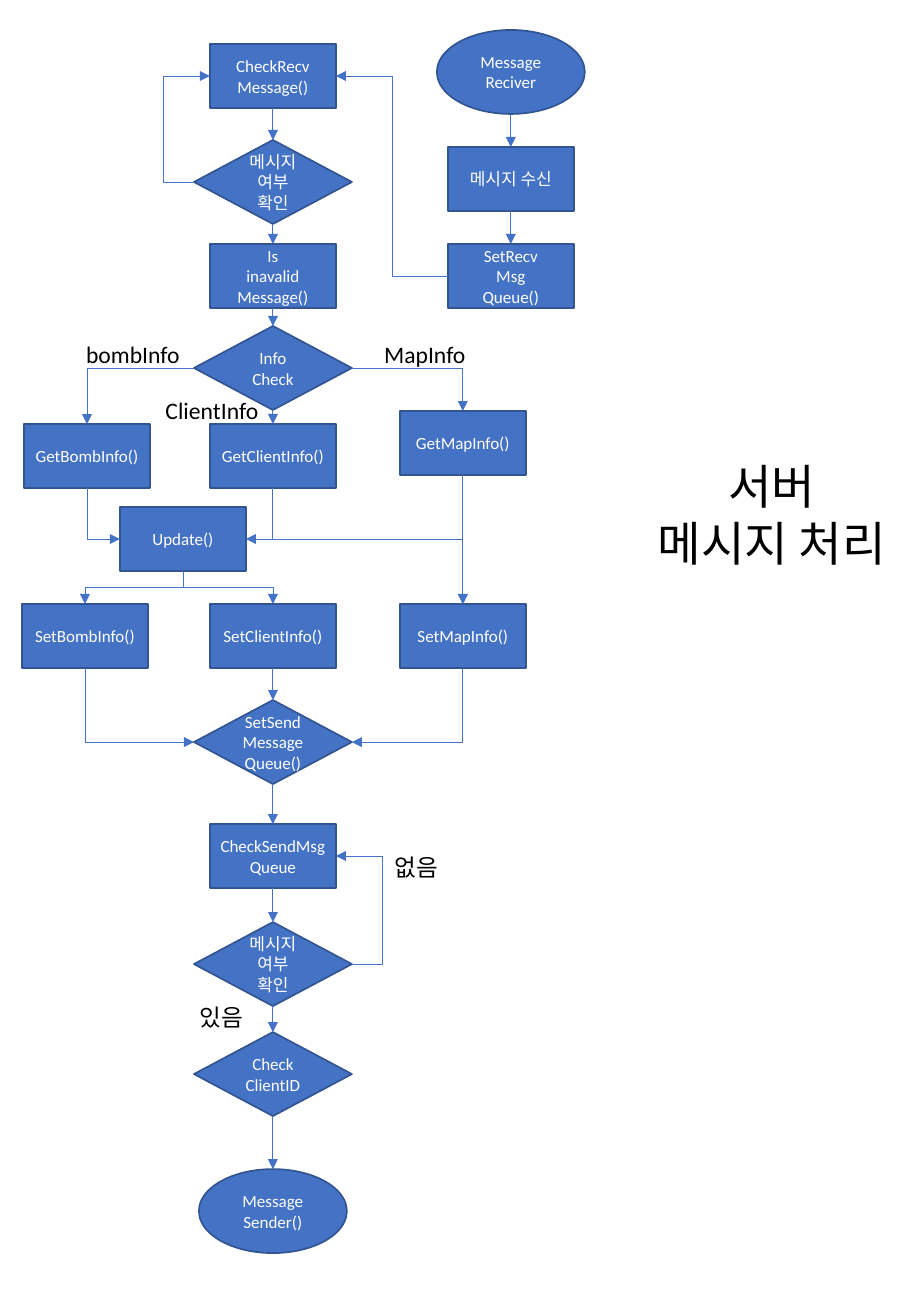
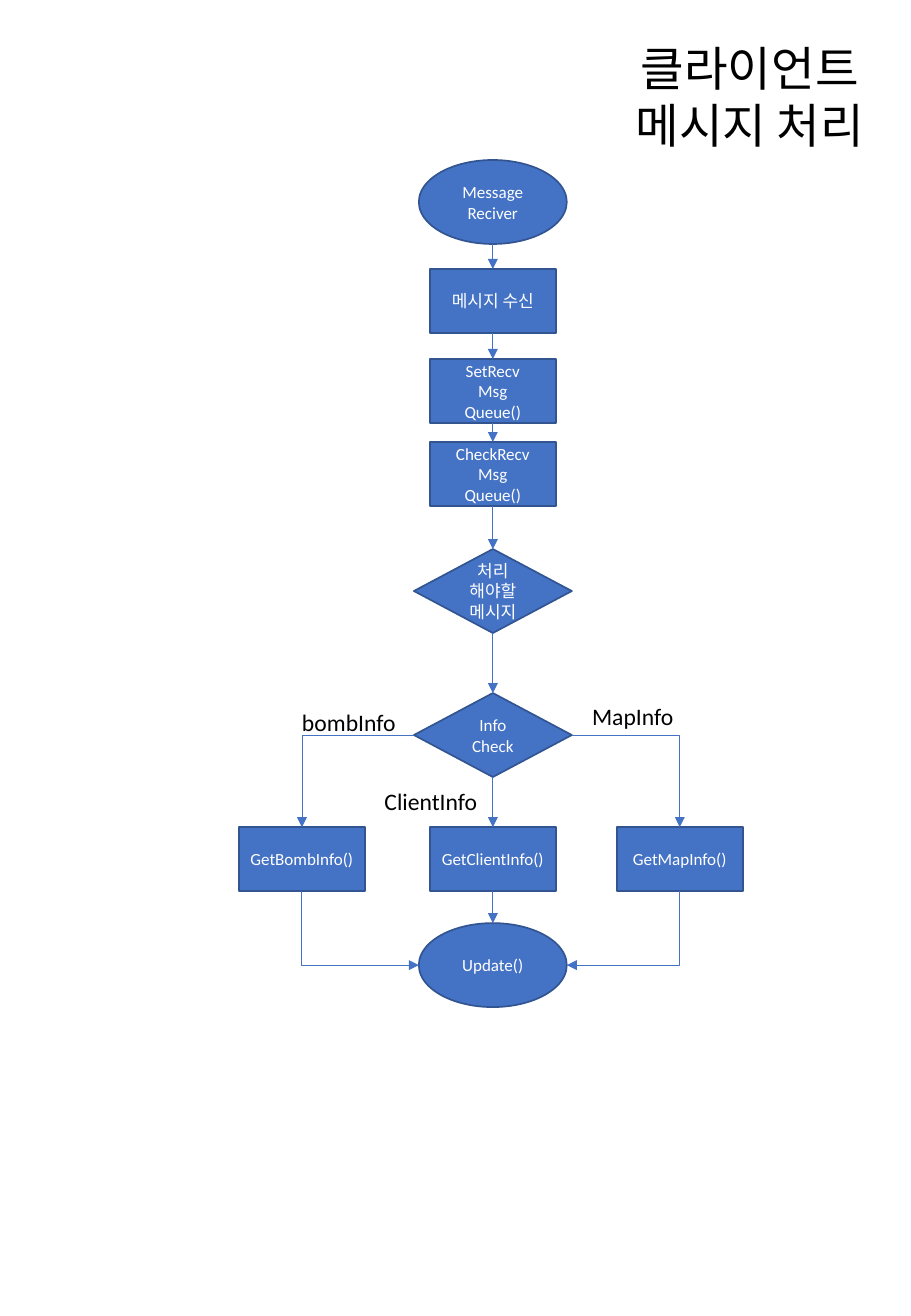
from collections import namedtuple
from dataclasses import dataclass

from lxml.etree import SubElement
from pptx import Presentation
from pptx.dml.color import RGBColor
from pptx.enum.shapes import MSO_CONNECTOR, MSO_SHAPE
from pptx.enum.text import MSO_ANCHOR, MSO_AUTO_SIZE, PP_ALIGN
from pptx.oxml.ns import qn
from pptx.util import Inches, Pt


@dataclass(frozen=True)
class Theme:
    font: str = "Calibri"
    fill: RGBColor = RGBColor(0x44, 0x72, 0xC4)
    outline: RGBColor = RGBColor(0x32, 0x54, 0x91)
    light: RGBColor = RGBColor(0xFF, 0xFF, 0xFF)
    dark: RGBColor = RGBColor(0, 0, 0)
    node_size: float = 10.1
    label_size: float = 14
    title_size: float = 28.1
    outline_width: float = 1
    arrow_width: float = 0.5


THEME = Theme()
SCALE = 914400 / 121.5
Region = namedtuple("Region", "left top width axis")
Kind = namedtuple("Kind", "preset width height site_step")
STEP = Kind(MSO_SHAPE.RECTANGLE, 126, 64, 1)
CHOICE = Kind(MSO_SHAPE.DIAMOND, 158, 84, 1)
TERMINAL = Kind(MSO_SHAPE.OVAL, 148, 84, 2)
Node = namedtuple("Node", "shape kind axis top")
SIDES = ("top", "left", "bottom", "right")
LOOP_BEND = -1.9
LABEL_HEIGHT = 41


def px(length):
    return round(length * SCALE)


def write(frame, text, size=THEME.node_size, color=THEME.light,
          anchor=MSO_ANCHOR.MIDDLE, margins=(12, 6), fit=MSO_AUTO_SIZE.NONE):
    frame.word_wrap = True
    frame.auto_size = fit
    frame.vertical_anchor = anchor
    frame.margin_left = frame.margin_right = px(margins[0])
    frame.margin_top = frame.margin_bottom = px(margins[1])
    frame.text = text
    for paragraph in frame.paragraphs:
        paragraph.alignment = PP_ALIGN.CENTER
        paragraph.line_spacing = 1.0
        font = paragraph.runs[0].font
        font.name = THEME.font
        font.size = Pt(size)
        font.color.rgb = color


def add_title(slide, text, left, top):
    title = slide.shapes.title
    title.left, title.top, title.width, title.height = map(px, (left, top, 278, 128))
    write(title.text_frame, text, size=THEME.title_size, color=THEME.dark,
          anchor=MSO_ANCHOR.TOP)


def add_label(slide, text, left, top, width=126):
    label = slide.shapes.add_textbox(*map(px, (left, top, width, LABEL_HEIGHT)))
    write(label.text_frame, text, size=THEME.label_size, color=THEME.dark,
          anchor=MSO_ANCHOR.TOP, fit=MSO_AUTO_SIZE.SHAPE_TO_FIT_TEXT)


def add_node(slide, kind, axis, top, text):
    shape = slide.shapes.add_shape(
        kind.preset, px(axis - kind.width / 2), px(top), px(kind.width), px(kind.height))
    shape.shadow.inherit = False
    shape.fill.solid()
    shape.fill.fore_color.rgb = THEME.fill
    shape.line.color.rgb = THEME.outline
    shape.line.width = Pt(THEME.outline_width)
    write(shape.text_frame, text, margins=(7, 4))
    return Node(shape, kind, axis, top)


def site(node, side):
    half_width, half_height = node.kind.width / 2, node.kind.height / 2
    dx, dy = {"top": (0, -1), "left": (-1, 0), "bottom": (0, 1), "right": (1, 0)}[side]
    return node.axis + dx * half_width, node.top + half_height + dy * half_height


def turn(connector, start, end, exit_side, bend):
    (x1, y1), (x2, y2) = start, end
    width, height = abs(x2 - x1), abs(y2 - y1)
    if exit_side == "bottom":
        width, height = height, width
        angle, flip_h, flip_v = (90, False, False) if x2 < x1 else (270, True, False)
    elif exit_side == "left":
        angle, flip_h, flip_v = 180, x2 > x1, y2 > y1
    else:
        angle, flip_h, flip_v = 0, x2 < x1, y2 < y1
    connector.left = px((x1 + x2 - width) / 2)
    connector.top = px((y1 + y2 - height) / 2)
    connector.width, connector.height = px(width), px(height)
    properties = connector._element.spPr
    frame = properties.find(qn("a:xfrm"))
    frame.set("rot", str(angle * 60000))
    frame.set("flipH", str(int(flip_h)))
    frame.set("flipV", str(int(flip_v)))
    geometry = properties.find(qn("a:prstGeom"))
    geometry.set("prst", "bentConnector2" if bend is None else "bentConnector3")
    if bend is not None:
        SubElement(geometry.find(qn("a:avLst")), qn("a:gd"),
                   name="adj1", fmla=f"val {round(bend * 100000)}")


def link(slide, source, target, exit_side="bottom", entry_side="top", bend=None):
    start, end = site(source, exit_side), site(target, entry_side)
    straight = start[0] == end[0]
    connector = slide.shapes.add_connector(
        MSO_CONNECTOR.STRAIGHT if straight else MSO_CONNECTOR.ELBOW,
        *map(px, start + end))
    if not straight:
        turn(connector, start, end, exit_side, bend)
    ends = connector._element.nvCxnSpPr.cNvCxnSpPr
    for tag, node, side in (("a:stCxn", source, exit_side), ("a:endCxn", target, entry_side)):
        SubElement(ends, qn(tag), id=str(node.shape.shape_id),
                   idx=str(SIDES.index(side) * node.kind.site_step))
    connector.line.color.rgb = THEME.fill
    connector.line.width = Pt(THEME.arrow_width)
    properties = connector._element.spPr
    SubElement(properties.find(qn("a:ln")), qn("a:tailEnd"), type="triangle")
    SubElement(properties, qn("a:effectLst"))


def add_column(slide, region, steps):
    nodes = [add_node(slide, kind, region.axis, region.top + offset, text)
             for kind, offset, text in steps]
    for upper, lower in zip(nodes, nodes[1:]):
        link(slide, upper, lower)
    return nodes


def add_receiver(slide, region, receive_offset, queue_offset):
    return add_column(slide, region, (
        (TERMINAL, 0, "Message\nReciver"),
        (STEP, receive_offset, "메시지 수신"),
        (STEP, queue_offset, "SetRecv\nMsg\nQueue()"),
    ))[-1]


def add_branches(slide, region, get_offset, map_offset, label_offsets):
    check = add_node(slide, CHOICE, region.axis, region.top, "Info Check")
    bomb_axis = region.left + STEP.width / 2
    map_axis = region.left + region.width - STEP.width / 2
    getters = []
    for name, axis, offset, exit_side in (
            ("Bomb", bomb_axis, get_offset, "left"),
            ("Client", region.axis, get_offset, "bottom"),
            ("Map", map_axis, map_offset, "right")):
        getter = add_node(slide, STEP, axis, region.top + offset, f"Get{name}Info()")
        link(slide, check, getter, exit_side)
        getters.append(getter)
    for text, (dx, dy) in zip(("bombInfo", "ClientInfo", "MapInfo"), label_offsets):
        add_label(slide, text, region.left + dx, region.top + dy)
    return check, getters


def add_message_check(slide, region):
    check_receive, has_message, validity = add_column(slide, region, (
        (STEP, 0, "CheckRecv\nMessage()"),
        (CHOICE, 96, "메시지 여부 확인"),
        (STEP, 200, "Is\ninavalid\nMessage()"),
    ))
    link(slide, has_message, check_receive, "left", "left", LOOP_BEND)
    return check_receive, validity


def add_update(slide, region, getters):
    get_bomb, get_client, get_map = getters
    update = add_node(slide, STEP, region.left + 161, region.top, "Update()")
    set_bomb, set_client, set_map = [
        add_node(slide, STEP, axis, region.top + 97, f"Set{name}Info()")
        for name, axis in (("Bomb", region.left + STEP.width / 2),
                           ("Client", region.axis),
                           ("Map", region.left + region.width - STEP.width / 2))]
    queue = add_node(slide, CHOICE, region.axis, region.top + 193, "SetSendMessage\nQueue()")
    link(slide, get_bomb, update, "bottom", "left")
    link(slide, get_client, update, "bottom", "right")
    link(slide, get_map, set_map)
    link(slide, update, set_map, "right", "top")
    for setter in (set_bomb, set_client):
        link(slide, update, setter, bend=0.5)
    link(slide, set_bomb, queue, "bottom", "left")
    link(slide, set_client, queue)
    link(slide, set_map, queue, "bottom", "right")
    return queue


def add_sender(slide, region):
    check_queue, has_message, _, _ = add_column(slide, region, (
        (STEP, 0, "CheckSendMsg\nQueue"),
        (CHOICE, 98, "메시지 여부 확인"),
        (CHOICE, 208, "Check\nClientID"),
        (TERMINAL, 345, "Message\nSender()"),
    ))
    link(slide, has_message, check_queue, "right", "right", LOOP_BEND)
    add_label(slide, "있음", region.axis - 90, region.top + 173, width=77)
    add_label(slide, "없음", region.axis + 105, region.top + 23, width=77)
    return check_queue


def build_server(slide):
    add_title(slide, "서버\n메시지 처리", 633, 451)
    check_receive, validity = add_message_check(slide, Region(194, 44, 158, 273))
    check, getters = add_branches(
        slide, Region(24, 326, 502, 273), 98, 85, ((46, 8), (125, 64), (338, 8)))
    link(slide, validity, check)
    send_queue = add_update(slide, Region(22, 507, 504, 273), getters)
    check_queue = add_sender(slide, Region(194, 824, 158, 273))
    link(slide, send_queue, check_queue)
    receive_queue = add_receiver(slide, Region(437, 30, 148, 511), 117, 214)
    link(slide, receive_queue, check_receive, "left", "right", 0.5)


def build_client(slide):
    add_title(slide, "클라이언트\n메시지 처리", 611, 33)
    receive_queue = add_receiver(slide, Region(419, 160, 148, 493), 109, 199)
    check_queue, pending = add_column(slide, Region(414, 442, 158, 493), (
        (STEP, 0, "CheckRecv\nMsg\nQueue()"),
        (CHOICE, 107, "처리 해야할 메시지"),
    ))
    check, getters = add_branches(
        slide, Region(239, 693, 504, 493), 134, 134, ((47, 9), (129, 88), (331, 3)))
    update = add_node(slide, TERMINAL, 493, 923, "Update()")
    link(slide, receive_queue, check_queue)
    link(slide, pending, check)
    for getter, entry_side in zip(getters, ("left", "top", "right")):
        link(slide, getter, update, "bottom", entry_side)


presentation = Presentation()
presentation.slide_width = Inches(7.5)
presentation.slide_height = Inches(10.83)
title_only = presentation.slide_layouts[5]
for build in (build_server, build_client):
    build(presentation.slides.add_slide(title_only))
presentation.save("out.pptx")
